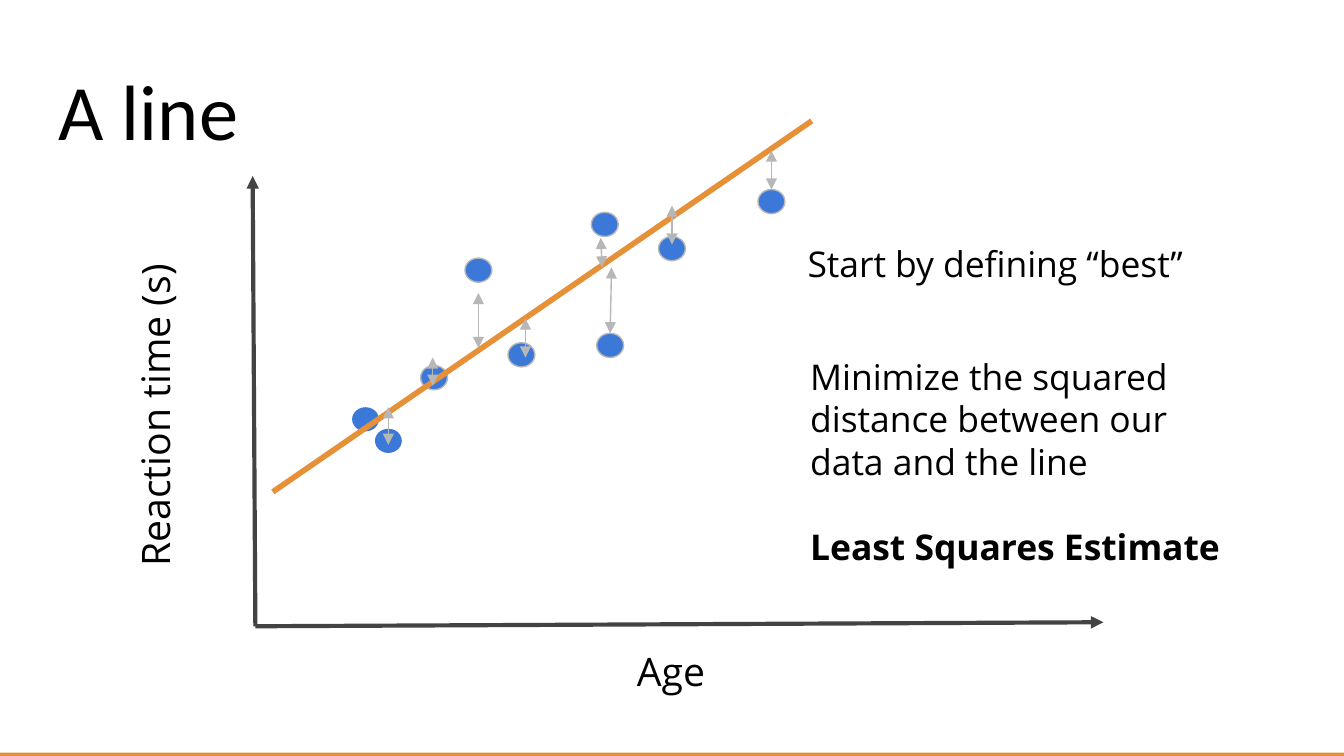
import dataclasses
import typing

import lxml.etree
import pptx
import pptx.dml.color
import pptx.enum.shapes
import pptx.enum.text
import pptx.oxml.ns
import pptx.util

# Grid: 100 columns across, square cells, 56.25 rows down
WIDE, HIGH = 10, 5.625
COLS, ROWS = 100, 56.25
BLACK, DARK, GREY = "000000", "434343", "B7B7B7"
BLUE, ORANGE = "3C78D8", "E69138"
SHAPE = pptx.enum.shapes.MSO_SHAPE
ANCHOR = pptx.enum.text.MSO_ANCHOR


@dataclasses.dataclass
class Dot:
    col: float
    row: float
    edge: bool = True


@dataclasses.dataclass
class Line:
    start: tuple[float, float]
    end: tuple[float, float]
    color: str = GREY
    width: float = 0.75
    heads: tuple[str, ...] = ("headEnd", "tailEnd")


@dataclasses.dataclass
class Label:
    text: tuple[str, ...]
    area: tuple[float, float, float, float]
    size: float
    font: str = "Open Sans"
    turn: float = 0
    anchor: typing.Any = ANCHOR.TOP
    bold_last: bool = False


DOTS = [
    Dot(27.2, 31.2, False), Dot(28.9, 32.8, False), Dot(32.3, 28.1),
    Dot(45.4, 25.7), Dot(35.6, 20.1), Dot(38.8, 26.4),
    Dot(50, 18.5), Dot(45, 16.7), Dot(57.4, 15),
]
AXES = [
    Line((19, 46.6), (82.1, 46.3), DARK, 2.25, ("tailEnd",)),
    Line((19, 46.6), (18.8, 13.1), DARK, 2.25, ("tailEnd",)),
]
FIT = Line((20.3, 36.6), (60.4, 9), ORANGE, 3, ())
GAPS = [
    Line((35.6, 21.8), (35.6, 25.9)), Line((44.7, 17.7), (44.8, 19.9)),
    Line((45.5, 19.9), (45.4, 24.8)), Line((50, 15.3), (50, 18.2)),
    Line((57.4, 11.2), (57.4, 14.1)), Line((32.2, 26.6), (32.2, 28.7)),
    Line((39.1, 23.7), (39.1, 26.6)), Line((28.9, 30.3), (28.9, 33.1)),
]
LABELS = [
    Label(("A line",), (3.4, 3.5, 93.2, 9.1), 42, "Calibri", anchor=ANCHOR.BOTTOM),
    Label(("Reaction time (s)",), (0.1, 26.2, 25.6, 8.3), 21, turn=270),
    Label(("Age",), (46.4, 47.2, 9.2, 8.3), 21),
    Label(("Start by defining “best”",), (59.1, 17, 37.9, 11.6), 19),
    Label(("Minimize the squared distance between our data and the line",
           "Least Squares Estimate"), (59.3, 25.4, 33.8, 13), 19, bold_last=True),
]


def across(cols: float) -> int:
    return pptx.util.Inches(cols * WIDE / COLS)


def down(rows: float) -> int:
    return pptx.util.Inches(rows * HIGH / ROWS)


def tint(code: str) -> pptx.dml.color.RGBColor:
    return pptx.dml.color.RGBColor.from_string(code)


def apply(target: typing.Any, values: dict[str, typing.Any]) -> None:
    for name, value in values.items():
        setattr(target, name, value)


def draw_shape(slide, kind, left: float, top: float, width: float, height: float,
               fill: str, edge: str | None = None) -> None:
    shape = slide.shapes.add_shape(
        kind, across(left), down(top), across(width), down(height))
    shape.shadow.inherit = False
    shape.fill.solid()
    shape.fill.fore_color.rgb = tint(fill)
    if edge:
        shape.line.color.rgb = tint(edge)
        shape.line.width = pptx.util.Pt(0.75)
    else:
        shape.line.fill.background()


def draw_dot(slide, dot: Dot) -> None:
    width, height = 2, 1.8
    draw_shape(slide, SHAPE.OVAL, dot.col - width / 2, dot.row - height / 2,
               width, height, BLUE, GREY if dot.edge else None)


def draw_line(slide, line: Line) -> None:
    (left, top), (right, low) = line.start, line.end
    link = slide.shapes.add_connector(
        pptx.enum.shapes.MSO_CONNECTOR.STRAIGHT,
        across(left), down(top), across(right), down(low))
    link.line.color.rgb = tint(line.color)
    link.line.width = pptx.util.Pt(line.width)
    name = pptx.oxml.ns.qn
    props = link._element.spPr
    stroke = props.find(name("a:ln"))
    for end in line.heads:
        lxml.etree.SubElement(stroke, name("a:" + end), type="triangle")
    lxml.etree.SubElement(props, name("a:effectLst"))


def draw_label(slide, label: Label) -> None:
    left, top, width, height = label.area
    box = slide.shapes.add_textbox(
        across(left), down(top), across(width), down(height))
    box.rotation = label.turn
    inset = pptx.util.Inches(0.1)
    frame = box.text_frame
    apply(frame, {
        "word_wrap": True, "vertical_anchor": label.anchor,
        "margin_left": inset, "margin_right": inset,
        "margin_top": inset, "margin_bottom": inset,
    })
    last = len(label.text) - 1
    for place, words in enumerate(label.text):
        para = frame.add_paragraph() if place else frame.paragraphs[0]
        if place:
            para.space_before = pptx.util.Pt(1.2 * label.size)
        run = para.add_run()
        run.text = words
        apply(run.font, {
            "name": label.font, "size": pptx.util.Pt(label.size),
            "bold": label.bold_last and place == last,
        })
        run.font.color.rgb = tint(BLACK)


def main() -> None:
    deck = pptx.Presentation()
    apply(deck, {"slide_width": across(COLS), "slide_height": down(ROWS)})
    slide = deck.slides.add_slide(deck.slide_layouts[6])

    # Footer strip
    draw_shape(slide, SHAPE.RECTANGLE, 0, 56, COLS, ROWS - 56, ORANGE)

    # Axes and data
    for axis in AXES:
        draw_line(slide, axis)
    for dot in DOTS:
        draw_dot(slide, dot)

    # Fitted line and its distances to the data
    for line in [FIT, *GAPS]:
        draw_line(slide, line)

    # Title, axis names and remarks
    for label in LABELS:
        draw_label(slide, label)

    deck.save("out.pptx")


if __name__ == "__main__":
    main()
